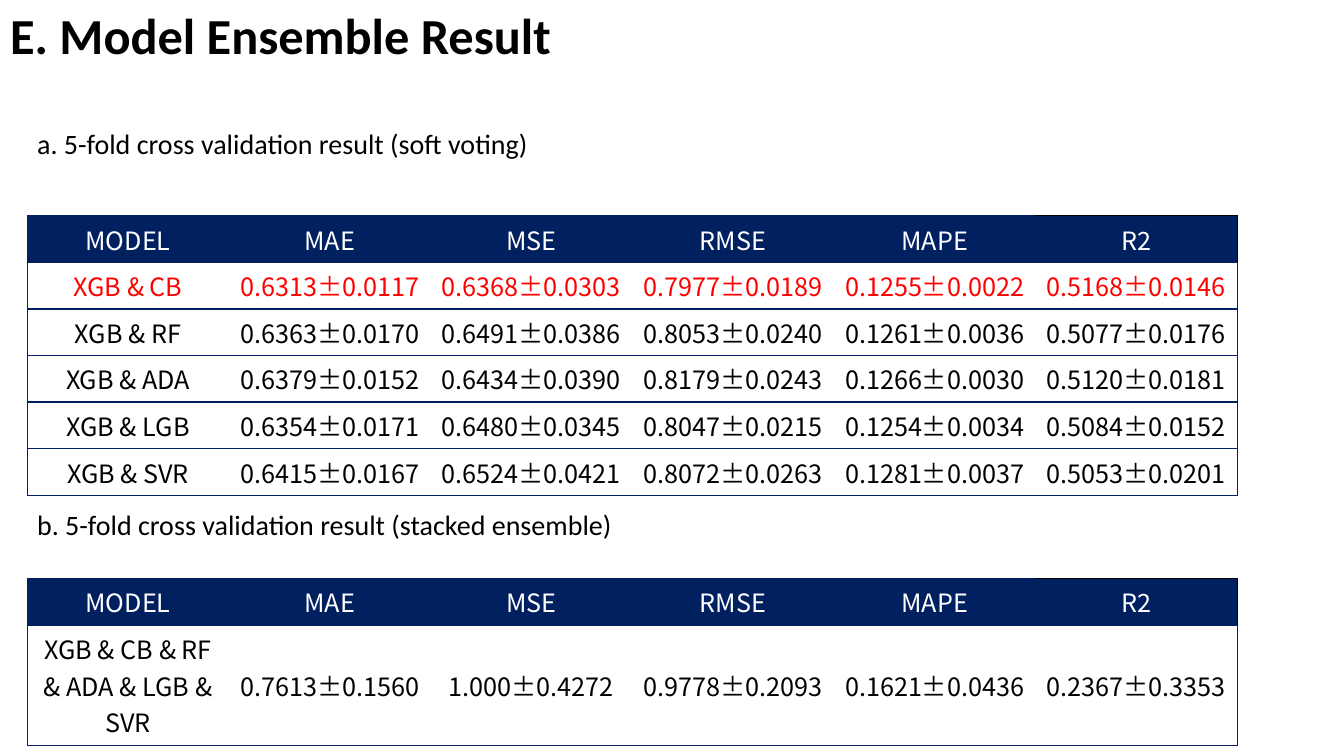
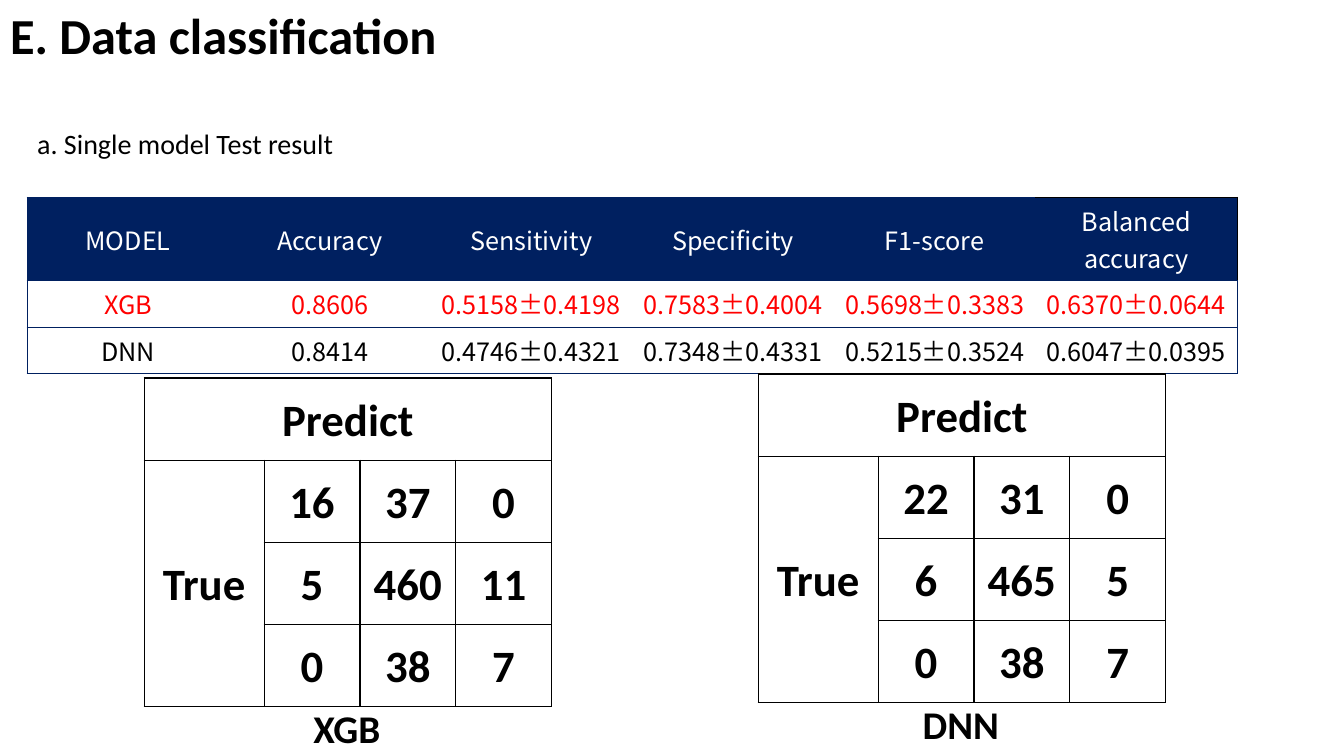
from dataclasses import dataclass

from lxml import etree
from pptx import Presentation
from pptx.dml.color import RGBColor
from pptx.enum.text import MSO_ANCHOR, MSO_AUTO_SIZE, PP_ALIGN
from pptx.oxml.ns import qn
from pptx.presentation import Presentation as Deck
from pptx.shapes.autoshape import Shape
from pptx.slide import Slide
from pptx.table import Table, _Cell
from pptx.text.text import TextFrame
from pptx.util import Inches, Pt

LEFT, CENTER = PP_ALIGN.LEFT, PP_ALIGN.CENTER
MIDDLE = MSO_ANCHOR.MIDDLE
NO_AUTOFIT = MSO_AUTO_SIZE.NONE
TITLE_ONLY = 5
PLAIN_TABLE_STYLE = "{2D5ABB26-0587-4C30-8999-92F81FD0307C}"


@dataclass(frozen=True)
class TextStyle:
    size: int
    font: str = "Calibri"
    color: str = "000000"
    bold: bool = False
    align: PP_ALIGN = LEFT
    line_spacing: float = 1.0


@dataclass(frozen=True)
class Theme:
    navy: str = "002060"
    black: str = "000000"
    white: str = "FFFFFF"
    border_width: float = 1
    title: TextStyle = TextStyle(36, bold=True, line_spacing=0.9)
    caption: TextStyle = TextStyle(20, line_spacing=0.9)
    header: TextStyle = TextStyle(18, "Noto Sans CJK KR", "FFFFFF", align=CENTER)
    body: TextStyle = TextStyle(18, "Noto Sans CJK KR", align=CENTER)
    best: TextStyle = TextStyle(18, "Noto Sans CJK KR", "FF0000", align=CENTER)
    matrix: TextStyle = TextStyle(32, bold=True, align=CENTER)
    matrix_label: TextStyle = TextStyle(28, bold=True, align=CENTER, line_spacing=0.8)


THEME = Theme()


@dataclass(frozen=True)
class ScoreTable:
    caption: str
    caption_top: float
    top: float
    row_heights: tuple[float, ...]
    header: tuple[str, ...]
    rows: tuple[tuple[str, ...], ...]
    best_row: int | None = None


@dataclass(frozen=True)
class ConfusionMatrix:
    model: str
    left: float
    top: float
    label_left: float
    counts: tuple[tuple[int, ...], ...]


@dataclass(frozen=True)
class ResultSlide:
    title: str
    tables: tuple[ScoreTable, ...]
    matrices: tuple[ConfusionMatrix, ...] = ()


# Content
ROW = 0.46
TABLE_LEFT, TABLE_WIDTH = 0.27, 12
CAPTION_TOP, CAPTION_HEIGHT = 1.19, 0.51
MATRIX_COLUMNS = (1.19, 0.95, 0.95, 0.95)
MATRIX_HEIGHT = 3.26
LABEL_WIDTH, LABEL_HEIGHT = 1.16, 0.51
REGRESSION_HEADER = ("MODEL", "MAE", "MSE", "RMSE", "MAPE", "R2")

SLIDES = (
    ResultSlide(
        "E. Model Ensemble Result",
        (
            ScoreTable(
                "a. 5-fold cross validation result (soft voting)",
                CAPTION_TOP, 2.14, (ROW,) * 6, REGRESSION_HEADER,
                (
                    ("XGB & CB", "0.6313±0.0117", "0.6368±0.0303",
                     "0.7977±0.0189", "0.1255±0.0022", "0.5168±0.0146"),
                    ("XGB & RF", "0.6363±0.0170", "0.6491±0.0386",
                     "0.8053±0.0240", "0.1261±0.0036", "0.5077±0.0176"),
                    ("XGB & ADA", "0.6379±0.0152", "0.6434±0.0390",
                     "0.8179±0.0243", "0.1266±0.0030", "0.5120±0.0181"),
                    ("XGB & LGB", "0.6354±0.0171", "0.6480±0.0345",
                     "0.8047±0.0215", "0.1254±0.0034", "0.5084±0.0152"),
                    ("XGB & SVR", "0.6415±0.0167", "0.6524±0.0421",
                     "0.8072±0.0263", "0.1281±0.0037", "0.5053±0.0201"),
                ),
                best_row=1,
            ),
            ScoreTable(
                "b. 5-fold cross validation result (stacked ensemble)",
                4.97, 5.74, (ROW, 1.19), REGRESSION_HEADER,
                (
                    ("XGB & CB & RF & ADA & LGB & SVR", "0.7613±0.1560", "1.000±0.4272",
                     "0.9778±0.2093", "0.1621±0.0436", "0.2367±0.3353"),
                ),
            ),
        ),
    ),
    ResultSlide(
        "E. Data classification",
        (
            ScoreTable(
                "a. Single model Test result",
                CAPTION_TOP, 1.96, (0.82, ROW, ROW),
                ("MODEL", "Accuracy", "Sensitivity", "Specificity", "F1-score",
                 "Balanced accuracy"),
                (
                    ("XGB", "0.8606", "0.5158±0.4198", "0.7583±0.4004",
                     "0.5698±0.3383", "0.6370±0.0644"),
                    ("DNN", "0.8414", "0.4746±0.4321", "0.7348±0.4331",
                     "0.5215±0.3524", "0.6047±0.0395"),
                ),
                best_row=1,
            ),
        ),
        (
            ConfusionMatrix("XGB", 1.43, 3.75, 2.86, ((16, 37, 0), (5, 460, 11), (0, 38, 7))),
            ConfusionMatrix("DNN", 7.52, 3.71, 8.95, ((22, 31, 0), (6, 465, 5), (0, 38, 7))),
        ),
    ),
)


# Text
def write_text(text_frame: TextFrame, text: str, style: TextStyle) -> None:
    text_frame.text = text
    paragraph = text_frame.paragraphs[0]
    paragraph.alignment = style.align
    paragraph.line_spacing = style.line_spacing
    run = paragraph.runs[0]
    run.font.size = Pt(style.size)
    run.font.bold = style.bold
    run.font.name = style.font
    run.font.color.rgb = RGBColor.from_string(style.color)
    east_asian = etree.SubElement(run._r.get_or_add_rPr(), qn("a:ea"))
    east_asian.set("typeface", style.font)


def fill_text_shape(shape: Shape, text: str, style: TextStyle) -> None:
    text_frame = shape.text_frame
    text_frame.word_wrap = True
    text_frame.auto_size = NO_AUTOFIT
    text_frame.vertical_anchor = MIDDLE
    write_text(text_frame, text, style)


def add_title(slide: Slide, text: str) -> None:
    title = slide.shapes.title
    title.left, title.top = Inches(0), Inches(0)
    title.width, title.height = Inches(8.3), Inches(0.75)
    fill_text_shape(title, text, THEME.title)


def add_label(slide: Slide, text: str, left: float, top: float,
              width: float, height: float, style: TextStyle) -> None:
    shape = slide.shapes.add_textbox(Inches(left), Inches(top), Inches(width), Inches(height))
    fill_text_shape(shape, text, style)


# Tables
def add_plain_table(slide: Slide, left: float, top: float,
                    columns: tuple[float, ...], rows: tuple[float, ...]) -> Table:
    table = slide.shapes.add_table(
        len(rows), len(columns), Inches(left), Inches(top),
        Inches(sum(columns)), Inches(sum(rows)),
    ).table
    table.first_row = table.horz_banding = False
    table._tbl.tblPr.find(qn("a:tableStyleId")).text = PLAIN_TABLE_STYLE
    for column, width in zip(table.columns, columns):
        column.width = Inches(width)
    for row, height in zip(table.rows, rows):
        row.height = Inches(height)
    return table


def set_borders(cell: _Cell, colors: dict[str, str]) -> None:
    """Draw the named sides (L, R, T, B) in the given colours."""
    properties = cell._tc.get_or_add_tcPr()
    sides = [side for side in "LRTB" if side in colors]
    for index, side in enumerate(sides):
        line = etree.Element(qn(f"a:ln{side}"), w=str(Pt(THEME.border_width)))
        solid_fill = etree.SubElement(line, qn("a:solidFill"))
        etree.SubElement(solid_fill, qn("a:srgbClr"), val=colors[side])
        properties.insert(index, line)


def set_cell(cell: _Cell, text: str, style: TextStyle, fill: str | None) -> None:
    cell.vertical_anchor = MIDDLE
    if fill:
        cell.fill.solid()
        cell.fill.fore_color.rgb = RGBColor.from_string(fill)
    else:
        cell.fill.background()
    if text:
        write_text(cell.text_frame, text, style)


def add_score_table(slide: Slide, scores: ScoreTable) -> None:
    add_label(slide, scores.caption, TABLE_LEFT, scores.caption_top,
              TABLE_WIDTH, CAPTION_HEIGHT, THEME.caption)
    count = len(scores.header)
    table = add_plain_table(slide, TABLE_LEFT, scores.top,
                            (TABLE_WIDTH / count,) * count, scores.row_heights)
    for row, values in enumerate((scores.header, *scores.rows)):
        is_header = row == 0
        style = THEME.best if row == scores.best_row else THEME.body
        for column, value in enumerate(values):
            cell = table.cell(row, column)
            set_cell(cell, value, THEME.header if is_header else style,
                     THEME.navy if is_header else None)
            borders = {"T": THEME.navy, "B": THEME.navy}
            if column == 0:
                borders["L"] = THEME.navy
            if column == count - 1:
                borders["R"] = THEME.navy
                if is_header:
                    borders.update(T=THEME.black, R=THEME.black)
            set_borders(cell, borders)


def add_confusion_matrix(slide: Slide, matrix: ConfusionMatrix) -> None:
    texts = [["Predict", "", "", ""]]
    for index, counts in enumerate(matrix.counts):
        texts.append(["True" if index == 0 else "", *map(str, counts)])
    table = add_plain_table(slide, matrix.left, matrix.top, MATRIX_COLUMNS,
                            (MATRIX_HEIGHT / len(texts),) * len(texts))
    for row, values in enumerate(texts):
        for column, value in enumerate(values):
            cell = table.cell(row, column)
            cell.margin_left = cell.margin_right = cell.margin_top = Inches(0.04)
            cell.margin_bottom = Inches(0)
            set_cell(cell, value, THEME.matrix, THEME.white)
            set_borders(cell, dict.fromkeys("LRTB", THEME.black))
    table.cell(0, 0).merge(table.cell(0, 3))
    table.cell(1, 0).merge(table.cell(3, 0))
    add_label(slide, matrix.model, matrix.label_left, matrix.top + MATRIX_HEIGHT,
              LABEL_WIDTH, LABEL_HEIGHT, THEME.matrix_label)


# Slides
def add_result_slide(presentation: Deck, content: ResultSlide) -> None:
    slide = presentation.slides.add_slide(presentation.slide_layouts[TITLE_ONLY])
    add_title(slide, content.title)
    for scores in content.tables:
        add_score_table(slide, scores)
    for matrix in content.matrices:
        add_confusion_matrix(slide, matrix)


def main() -> None:
    presentation = Presentation()
    presentation.slide_width = Inches(13.33)
    presentation.slide_height = Inches(7.5)
    for content in SLIDES:
        add_result_slide(presentation, content)
    presentation.save("out.pptx")


if __name__ == "__main__":
    main()
